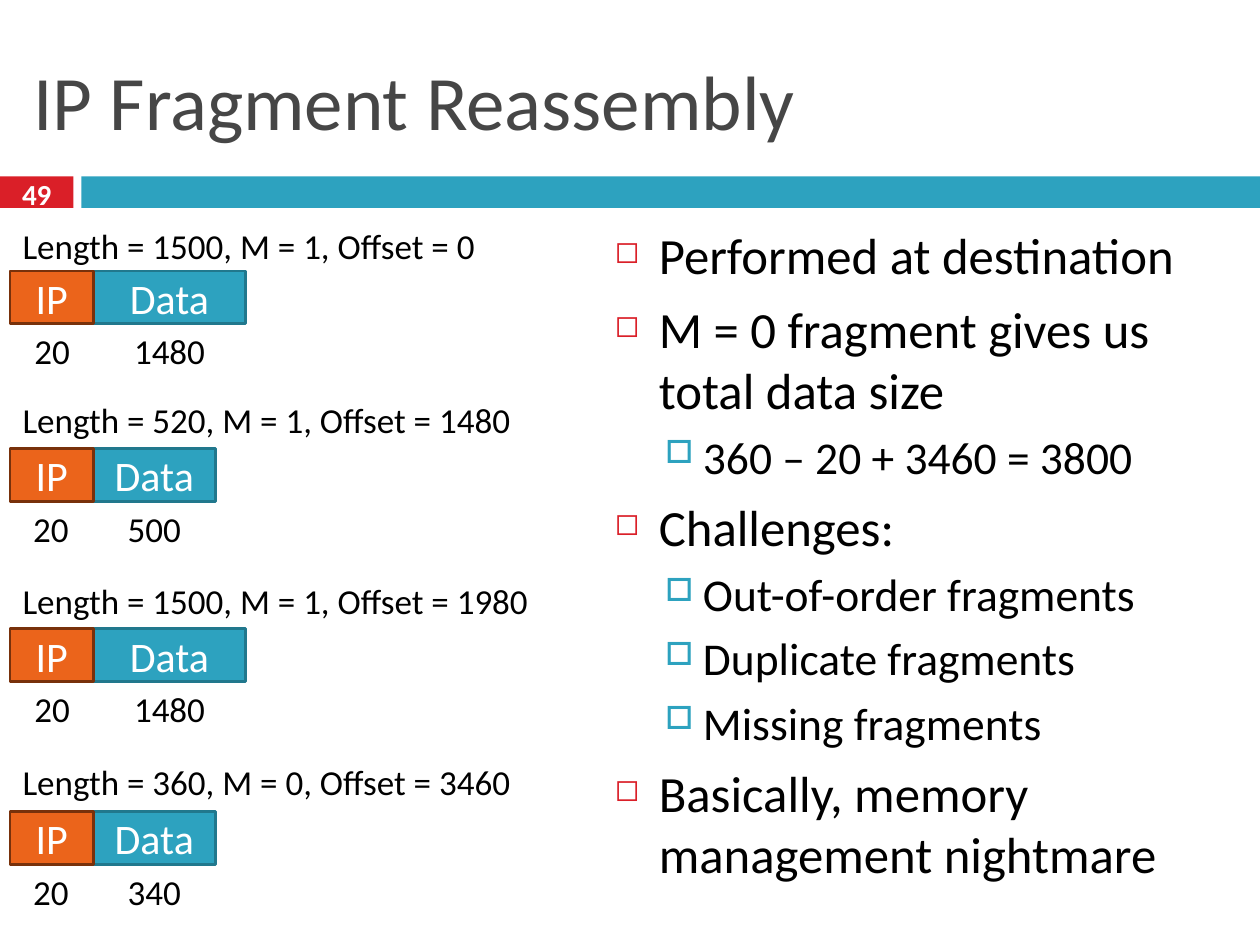
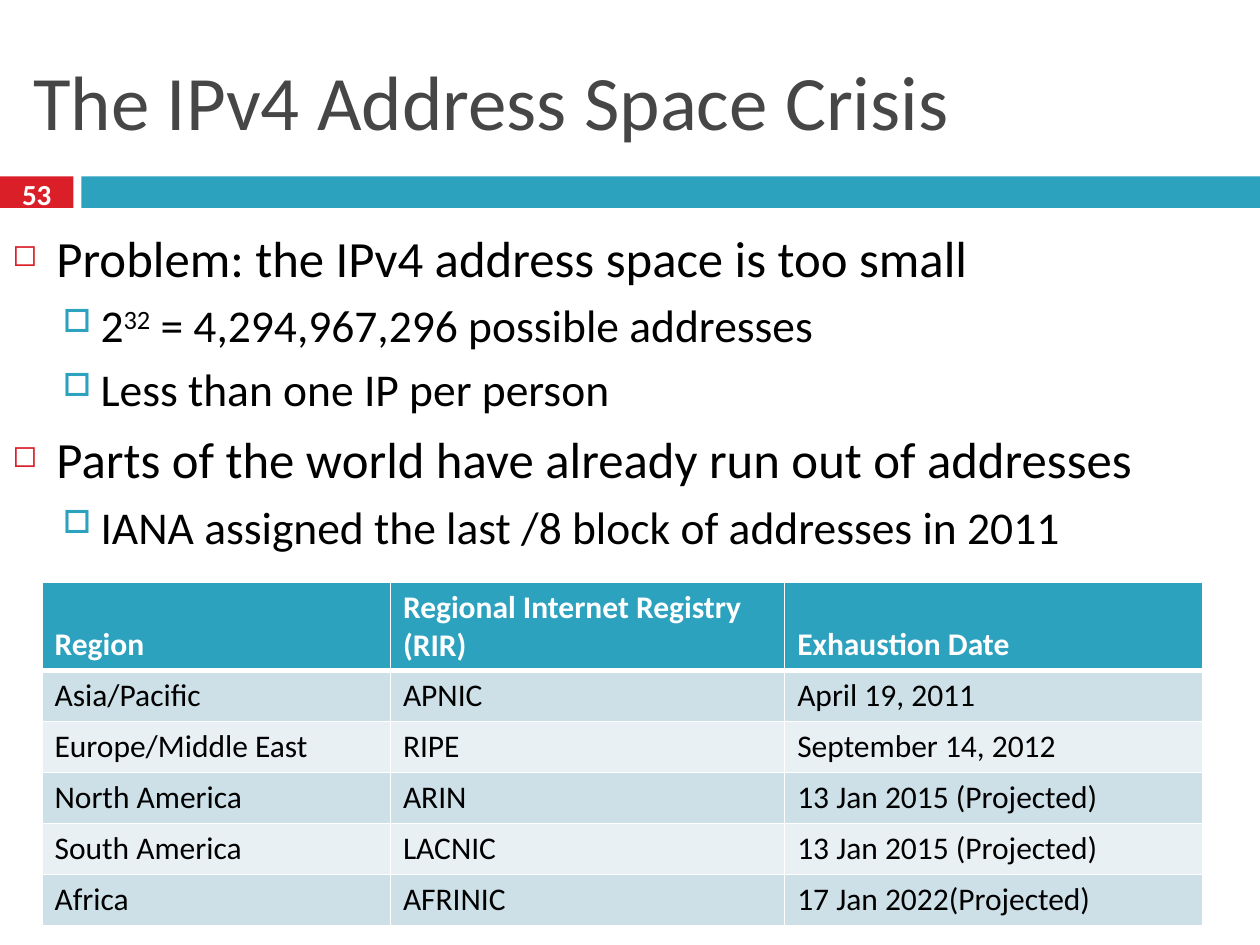
"""Build two slides on IP fragment reassembly and the IPv4 address shortage."""
from lxml.etree import SubElement as Sub
from pptx import Presentation
from pptx.dml.color import RGBColor as RGB
from pptx.enum.shapes import MSO_SHAPE as Form
from pptx.enum.text import MSO_ANCHOR as Anchor, PP_ALIGN as Align
from pptx.oxml import parse_xml
from pptx.oxml.ns import nsdecls, qn
from pptx.util import Pt

HUE = {
    "red": "DA1F28", "teal": "2DA2BF", "deep": "21788D",
    "orange": "EB641B", "brown": "78310B", "grey": "464646",
    "black": "000000", "white": "FFFFFF", "mist": "CDE0E8", "pale": "E8F0F4",
}
LEVELS = [
    {"size": 29, "gap": 7, "left": 25.2, "hang": -25.2, "mark": "◻", "hue": "red", "scale": 60},
    {"size": 26, "gap": 5.5, "left": 50.4, "hang": -21.6, "mark": "□", "hue": "teal", "scale": 70},
]


def box(shapes, left, top, width, height, fill=None, line=None):
    """Add a rectangle, or a plain text box without fill, and return its text frame."""
    spot = [Pt(n) for n in (left, top, width, height)]
    if fill is None:
        frame = shapes.add_textbox(*spot).text_frame
    else:
        shape = shapes.add_shape(Form.RECTANGLE, *spot)
        shape.shadow.inherit = False
        shape.fill.solid()
        shape.fill.fore_color.rgb = RGB.from_string(HUE[fill])
        if line:
            shape.line.color.rgb = RGB.from_string(HUE[line])
            shape.line.width = Pt(1.5)
        else:
            shape.line.fill.background()
        frame = shape.text_frame
    frame.word_wrap = True
    return frame


def write(frame, text, size=20, hue="black", bold=False, align=Align.LEFT, anchor=None, level=None):
    """Add one paragraph; parts between carets are raised."""
    first = not frame.text
    para = frame.paragraphs[0] if first else frame.add_paragraph()
    para.alignment = align
    if anchor is not None:
        frame.vertical_anchor = anchor
    if level is not None:
        look = LEVELS[level]
        size = look["size"]
        para.level = level
        props = para._p.get_or_add_pPr()
        props.set("marL", str(Pt(look["left"])))
        props.set("indent", str(Pt(look["hang"])))
        Sub(Sub(props, qn("a:buClr")), qn("a:srgbClr"), val=HUE[look["hue"]])
        Sub(props, qn("a:buSzPct"), val=str(look["scale"] * 1000))
        Sub(props, qn("a:buChar"), char=look["mark"])
        para.space_before = Pt(0 if first else look["gap"])
    for i, part in enumerate(text.split("^")):
        run = para.add_run()
        run.text = part
        run.font.name = "Calibri"
        run.font.size = Pt(size)
        run.font.bold = bold
        run.font.color.rgb = RGB.from_string(HUE[hue])
        if i % 2:
            run._r.get_or_add_rPr().set("baseline", "30000")


deck = Presentation()
deck.slide_width, deck.slide_height = Pt(720), Pt(540)

PAGES = [
    ("IP Fragment Reassembly", "49", (344.2, 124.6, 364.3, 403.2), [
        (0, "Performed at destination"),
        (0, "M = 0 fragment gives us total data size"),
        (1, "360 – 20 + 3460 = 3800"),
        (0, "Challenges:"),
        (1, "Out-of-order fragments"),
        (1, "Duplicate fragments"),
        (1, "Missing fragments"),
        (0, "Basically, memory management nightmare"),
    ]),
    ("The IPv4 Address Space Crisis", "53", (0, 126, 720, 203.8), [
        (0, "Problem: the IPv4 address space is too small"),
        (1, "2^32^ = 4,294,967,296 possible addresses"),
        (1, "Less than one IP per person"),
        (0, "Parts of the world have already run out of addresses"),
        (1, "IANA assigned the last /8 block of addresses in 2011"),
    ]),
]
slides = []
for title, number, area, points in PAGES:
    page = deck.slides.add_slide(deck.slide_layouts[6])
    slides.append(page)
    box(page.shapes, 0, 100.8, 42, 18, fill="red")
    box(page.shapes, 46.5, 100.8, 673.5, 18, fill="teal")
    write(box(page.shapes, 12, 18, 696, 78), title, size=44, hue="grey", anchor=Anchor.MIDDLE)
    write(box(page.shapes, 0, 98.6, 42, 24), number, size=16.6, hue="white", bold=True,
          align=Align.CENTER, anchor=Anchor.MIDDLE)
    body = box(page.shapes, *area)
    for level, text in points:
        write(body, text, level=level)

FRAGMENTS = [
    ("Length = 1500, M = 1, Offset = 0", 124.6, 304.6, 154.8, "1480"),
    ("Length = 520, M = 1, Offset = 1480", 223.9, 326.9, 256.3, "500"),
    ("Length = 1500, M = 1, Offset = 1980", 327.6, 338.4, 359.3, "1480"),
    ("Length = 360, M = 0, Offset = 3460", 431.3, 326.9, 463.7, "340"),
]
first, last = slides
for label, head, span, top, count in FRAGMENTS:
    write(box(first.shapes, 5.8, head, span, 31.7), label)
    full = count == "1480"
    wide, room = (87.1, 59.8) if full else (69.8, 48.2)
    group = first.shapes.add_group_shape().shapes
    for name, left, width, fill, line in (
        ("Data", 53.3, wide, "teal", "deep"), ("IP", 5.8, 47.5, "orange", "brown"),
    ):
        write(box(group, left, top, width, 30.2, fill, line), name, size=24, hue="white",
              align=Align.CENTER, anchor=Anchor.MIDDLE)
    for size, left, width in (("20", 11.5 if full else 10.8, 36.7), (count, 67 if full else 64.1, room)):
        write(box(group, left, top + 30.2, width, 31.7), size, align=Align.CENTER)

ROWS = [
    ("Region", "Regional Internet Registry (RIR)", "Exhaustion Date"),
    ("Asia/Pacific", "APNIC", "April 19, 2011"),
    ("Europe/Middle East", "RIPE", "September 14, 2012"),
    ("North America", "ARIN", "13 Jan 2015 (Projected)"),
    ("South America", "LACNIC", "13 Jan 2015 (Projected)"),
    ("Africa", "AFRINIC", "17 Jan 2022(Projected)"),
]
table = last.shapes.add_table(len(ROWS), 3, Pt(24), Pt(332.6), Pt(663.4), Pt(196.2)).table
for col, width in zip(table.columns, (199.1, 225.3, 239)):
    col.width = Pt(width)
for r, row in enumerate(ROWS):
    top = r == 0
    table.rows[r].height = Pt(50.2 if top else 29.2)
    for c, text in enumerate(row):
        cell = table.cell(r, c)
        cell.fill.solid()
        cell.fill.fore_color.rgb = RGB.from_string(HUE["teal" if top else "mist" if r % 2 else "pale"])
        cell.vertical_anchor = Anchor.BOTTOM if top else Anchor.TOP
        write(cell.text_frame, text, size=18, hue="white" if top else "black", bold=top)
        for i, side in enumerate("LRTB"):
            thick = 3 if (r, side) in ((0, "B"), (1, "T")) else 1
            edge = parse_xml(
                f'<a:ln{side} {nsdecls("a")} w="{Pt(thick)}"><a:solidFill>'
                f'<a:srgbClr val="{HUE["white"]}"/></a:solidFill></a:ln{side}>')
            cell._tc.get_or_add_tcPr().insert(i, edge)

deck.save("out.pptx")
